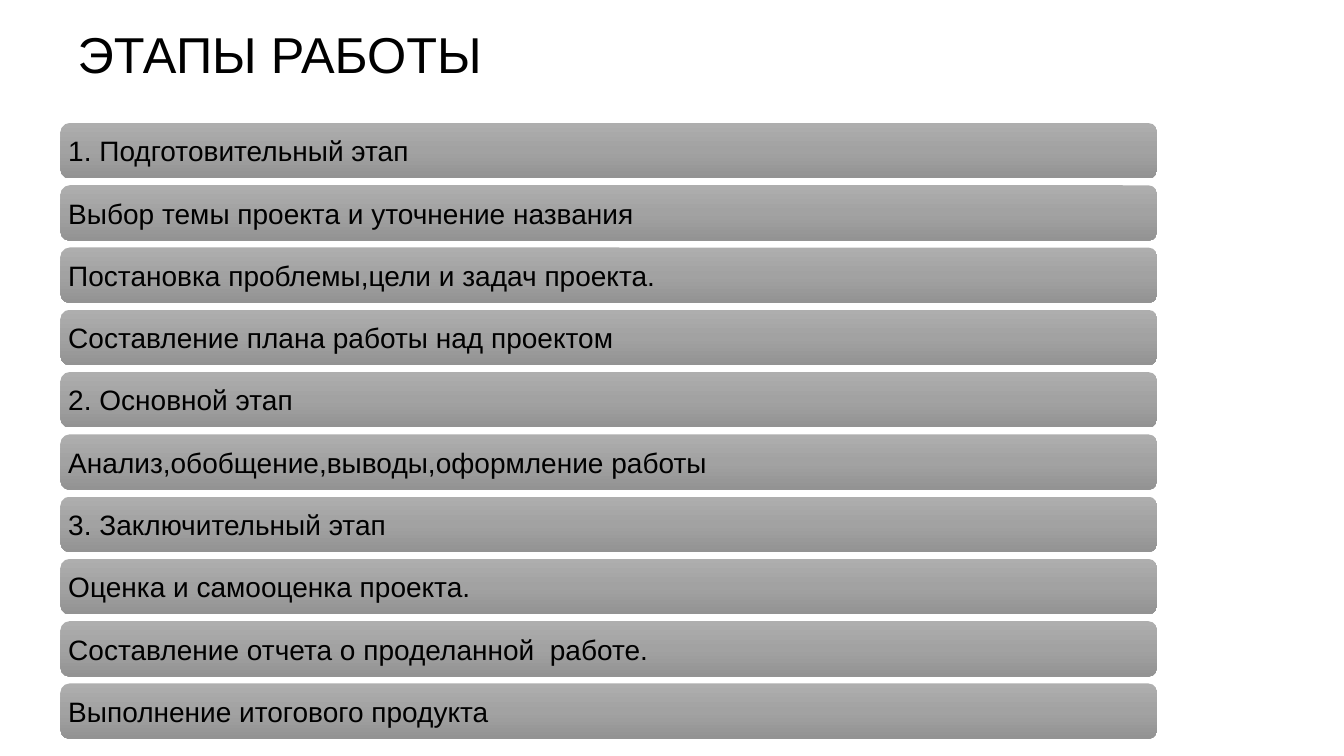
from copy import deepcopy
from dataclasses import dataclass

import pptx
import pptx.dml.color
import pptx.enum.shapes
import pptx.enum.text
import pptx.oxml.ns
import pptx.slide
import pptx.text.text
import pptx.util
from pptx.util import Inches


@dataclass(frozen=True)
class Theme:
    font: str = "Arial"
    text: str = "000000"
    gradient: tuple[tuple[float, str], ...] = (
        (0, "AEAEAE"), (0.5, "A2A2A2"), (1, "939393"))
    title_size: int = 36
    stage_size: int = 20


@dataclass(frozen=True)
class StageBar:
    text: str
    top: int


THEME = Theme()
TITLE = "ЭТАПЫ РАБОТЫ"
STAGES = (
    "1. Подготовительный этап",
    "Выбор темы проекта и уточнение названия",
    "Постановка проблемы,цели и задач проекта.",
    "Составление плана работы над проектом",
    "2. Основной этап",
    "Анализ,обобщение,выводы,оформление работы",
    "3. Заключительный этап",
    "Оценка и самооценка проекта.",
    "Составление отчета о проделанной  работе.",
    "Выполнение итогового продукта",
)
BAR_LEFT, BAR_WIDTH, BAR_HEIGHT = Inches(0.6), Inches(10.88), Inches(0.55)
FIRST_TOP, LAST_TOP = Inches(1.22), Inches(6.78)
PITCH = (LAST_TOP - FIRST_TOP) // (len(STAGES) - 1)


def set_text(tf: pptx.text.text.TextFrame, text: str, size: int) -> None:
    tf.text = text
    tf.word_wrap = True
    tf.auto_size = pptx.enum.text.MSO_AUTO_SIZE.NONE
    tf.vertical_anchor = pptx.enum.text.MSO_ANCHOR.MIDDLE
    p = tf.paragraphs[0]
    p.alignment = pptx.enum.text.PP_ALIGN.LEFT
    p.font.name = THEME.font
    p.font.size = pptx.util.Pt(size)
    p.font.color.rgb = pptx.dml.color.RGBColor.from_string(THEME.text)


def draw_title(s: pptx.slide.Slide) -> None:
    sp = s.shapes.title
    sp.left, sp.top = Inches(0.67), Inches(0.21)
    sp.width, sp.height = Inches(12), Inches(0.64)
    set_text(sp.text_frame, TITLE, THEME.title_size)


def draw_bar(s: pptx.slide.Slide, bar: StageBar) -> None:
    sp = s.shapes.add_shape(
        pptx.enum.shapes.MSO_SHAPE.ROUNDED_RECTANGLE,
        BAR_LEFT, bar.top, BAR_WIDTH, BAR_HEIGHT)
    sp.shadow.inherit = False
    sp.line.fill.background()
    sp.fill.gradient()
    sp.fill.gradient_angle = 270
    first_stop = next(sp.element.spPr.iter(pptx.oxml.ns.qn("a:gs")))
    first_stop.addnext(deepcopy(first_stop))
    for stop, (position, color) in zip(sp.fill.gradient_stops, THEME.gradient):
        stop.position = position
        stop.color.rgb = pptx.dml.color.RGBColor.from_string(color)
    tf = sp.text_frame
    tf.margin_left = tf.margin_right = Inches(0.05)
    tf.margin_top = tf.margin_bottom = Inches(0.05)
    set_text(tf, bar.text, THEME.stage_size)


prs = pptx.Presentation()
prs.slide_width, prs.slide_height = Inches(13.33), Inches(7.5)
s = prs.slides.add_slide(prs.slide_layouts.get_by_name("Title Only"))
draw_title(s)
for i, stage in enumerate(STAGES):
    draw_bar(s, StageBar(stage, FIRST_TOP + i * PITCH))
prs.save("out.pptx")
